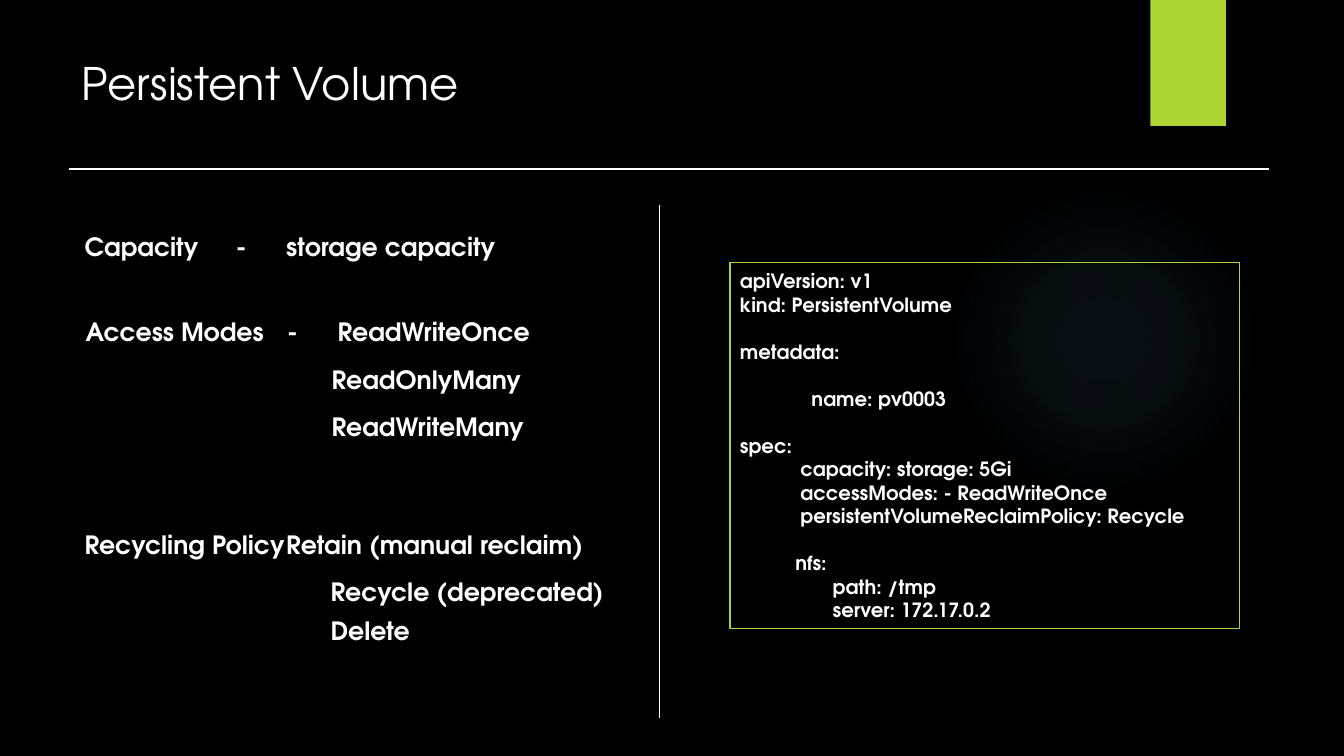
"""Build the Persistent Volume slide."""
from dataclasses import dataclass

from lxml.etree import SubElement as Sub
from pptx import Presentation
from pptx.dml.color import RGBColor as Rgb
from pptx.enum.shapes import MSO_CONNECTOR as Link, MSO_SHAPE as Kind
from pptx.enum.text import MSO_ANCHOR as Anchor, PP_ALIGN as Align
from pptx.oxml import parse_xml
from pptx.oxml.ns import nsdecls, qn
from pptx.shapes.autoshape import Shape
from pptx.slide import Slide
from pptx.text.text import TextFrame
from pptx.util import Inches, Pt


@dataclass(frozen=True)
class Theme:
    face: str = "TeX Gyre Adventor"
    back: Rgb = Rgb(0, 0, 0)
    ink: Rgb = Rgb(255, 255, 255)
    lime: Rgb = Rgb(0xAC, 0xD4, 0x33)
    glow: str = "7AC4F0"
    title: int = 32
    body: int = 18
    code: int = 14


@dataclass(frozen=True)
class Box:
    left: float
    top: float
    width: float
    height: float

    def place(self) -> tuple:
        return tuple(map(Inches, (self.left, self.top, self.width, self.height)))


@dataclass(frozen=True)
class Row:
    text: str
    indent: float = 0
    tabs: tuple[float, ...] = ()
    before: float = 0
    after: float = 0
    pitch: float | None = None


@dataclass(frozen=True)
class Block:
    box: Box
    rows: tuple[Row, ...]


@dataclass(frozen=True)
class Rule:
    start: tuple[float, float]
    end: tuple[float, float]
    weight: float


THEME = Theme()
VALUE = 2.44
GAP = 16.75


def topic(text: str, indent: float = 0, tabs: tuple[float, ...] = ()) -> Row:
    return Row(text, indent, tabs, before=10, after=6, pitch=18)


BLOCKS = (
    Block(Box(0.74, 2.3, 5.37, 0.65), (
        topic("Capacity\t-\tstorage capacity", tabs=(1.28, 1.51)),
    )),
    Block(Box(0.75, 3.14, 5.7, 1.41), (
        topic("Access Modes\t-\tReadWriteOnce", tabs=(1.99, VALUE)),
        topic("ReadOnlyMany", VALUE),
        topic("ReadWriteMany", VALUE),
    )),
    Block(Box(0.74, 5.25, 6.37, 1.57), (
        topic("Recycling Policy\tRetain (manual reclaim)", tabs=(2.4,)),
        topic("Recycle (deprecated)", VALUE),
        Row("Delete", VALUE),
    )),
)
CODE = Block(Box(7.24, 2.6, 5.05, 3.64), (
    Row("apiVersion: v1"),
    Row("kind: PersistentVolume"),
    Row("metadata:", before=GAP),
    Row("name: pv0003", 0.71, before=GAP),
    Row("spec:", before=GAP),
    Row("capacity: storage: 5Gi", 0.6),
    Row("accessModes: - ReadWriteOnce", 0.6),
    Row("persistentVolumeReclaimPolicy: Recycle", 0.6),
    Row("nfs:", 0.55, before=GAP),
    Row("path: /tmp", 0.92),
    Row("server: 172.17.0.2", 0.92),
))
RULES = (
    Rule((0.68, 1.68), (12.59, 1.68), 1.5),
    Rule((6.54, 2.03), (6.54, 7.12), 0.75),
)


def write(frame: TextFrame, rows: tuple[Row, ...], size: int, bold: bool = True) -> None:
    frame.word_wrap = True
    for i, row in enumerate(rows):
        para = frame.add_paragraph() if i else frame.paragraphs[0]
        para.text = row.text
        props = para._p.get_or_add_pPr()
        props.set("marL", str(Inches(row.indent)))
        props.set("indent", "0")
        if row.tabs:
            stops = Sub(props, qn("a:tabLst"))
            for stop in row.tabs:
                Sub(stops, qn("a:tab"), pos=str(Inches(stop)), algn="l")
        para.alignment = Align.LEFT
        para.space_before, para.space_after = Pt(row.before), Pt(row.after)
        if row.pitch:
            para.line_spacing = Pt(row.pitch)
        font = para.font
        font.name, font.size, font.bold = THEME.face, Pt(size), bold
        font.color.rgb = THEME.ink


def add_shape(slide: Slide, kind: Kind, box: Box) -> Shape:
    shape = slide.shapes.add_shape(kind, *box.place())
    shape.shadow.inherit = False
    shape.line.fill.background()
    return shape


def add_glow(slide: Slide) -> None:
    glow = add_shape(slide, Kind.OVAL, Box(9.41, 1.83, 3.08, 3.08))
    stops = "".join(
        f'<a:gs pos="{at * 1000}"><a:srgbClr val="{THEME.glow}">'
        f'<a:alpha val="{alpha * 1000}"/></a:srgbClr></a:gs>'
        for at, alpha in ((0, 7), (36, 6), (69, 0))
    )
    fill = parse_xml(
        f'<a:gradFill {nsdecls("a")}><a:gsLst>{stops}</a:gsLst><a:path path="circle">'
        '<a:fillToRect l="50000" t="50000" r="50000" b="50000"/></a:path></a:gradFill>'
    )
    glow._element.spPr.find(qn("a:prstGeom")).addnext(fill)


def add_title(slide: Slide) -> None:
    title = slide.shapes.title
    title.left, title.top, title.width, title.height = Box(0.71, 0.5, 10.29, 0.89).place()
    title.text_frame.vertical_anchor = Anchor.TOP
    write(title.text_frame, (Row("Persistent Volume"),), THEME.title, bold=False)


def add_code(slide: Slide) -> None:
    panel = add_shape(slide, Kind.RECTANGLE, CODE.box)
    panel.fill.background()
    panel.line.color.rgb, panel.line.width = THEME.lime, Pt(0.75)
    panel.text_frame.vertical_anchor = Anchor.MIDDLE
    write(panel.text_frame, CODE.rows, THEME.code)


def add_rule(slide: Slide, rule: Rule) -> None:
    line = slide.shapes.add_connector(
        Link.STRAIGHT, *map(Inches, rule.start + rule.end))
    line.line.color.rgb, line.line.width = THEME.ink, Pt(rule.weight)
    Sub(line._element.spPr, qn("a:effectLst"))


def main() -> None:
    deck = Presentation()
    deck.slide_width, deck.slide_height = Inches(13.33), Inches(7.5)
    slide = deck.slides.add_slide(deck.slide_layouts.get_by_name("Title Only"))
    slide.background.fill.solid()
    slide.background.fill.fore_color.rgb = THEME.back
    add_glow(slide)
    flag = add_shape(slide, Kind.RECTANGLE, Box(11.41, 0, 0.75, 1.25))
    flag.fill.solid()
    flag.fill.fore_color.rgb = THEME.lime
    add_title(slide)
    add_code(slide)
    for block in BLOCKS:
        text = slide.shapes.add_textbox(*block.box.place())
        write(text.text_frame, block.rows, THEME.body)
    for rule in RULES:
        add_rule(slide, rule)
    deck.save("out.pptx")


if __name__ == "__main__":
    main()
